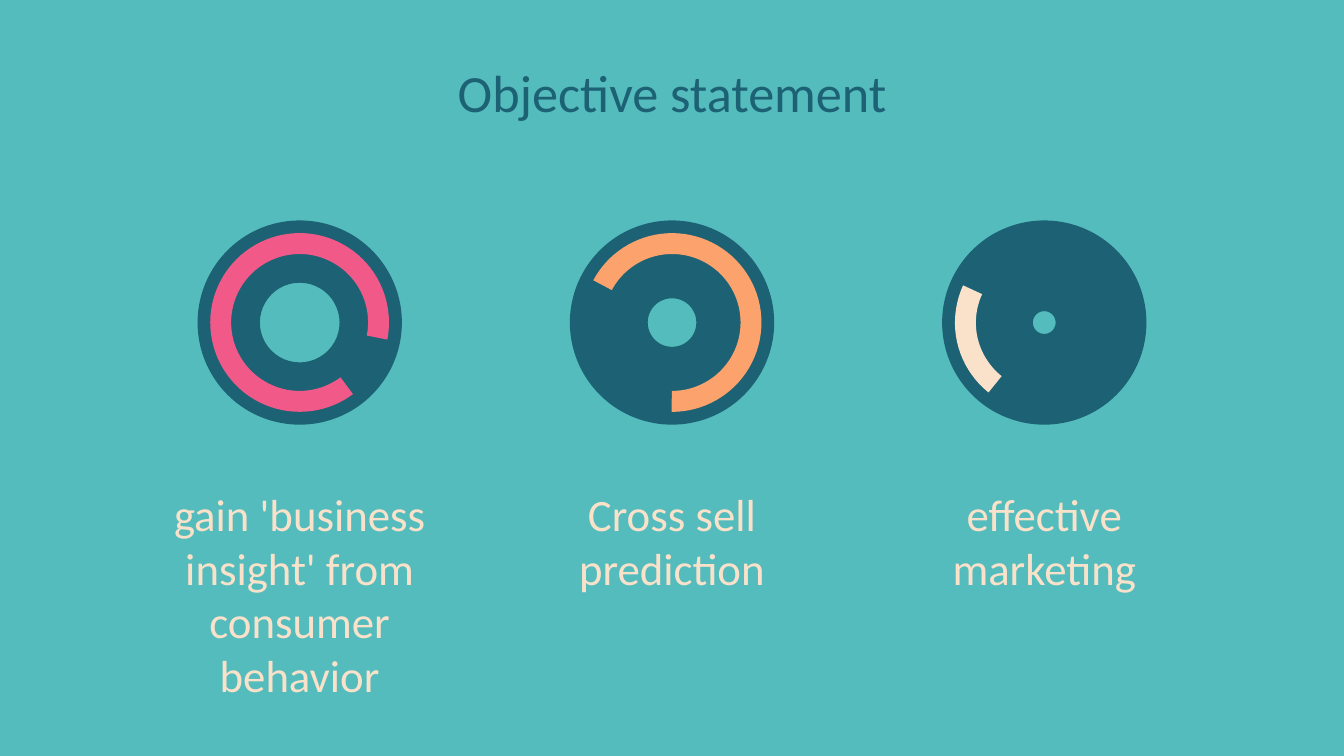
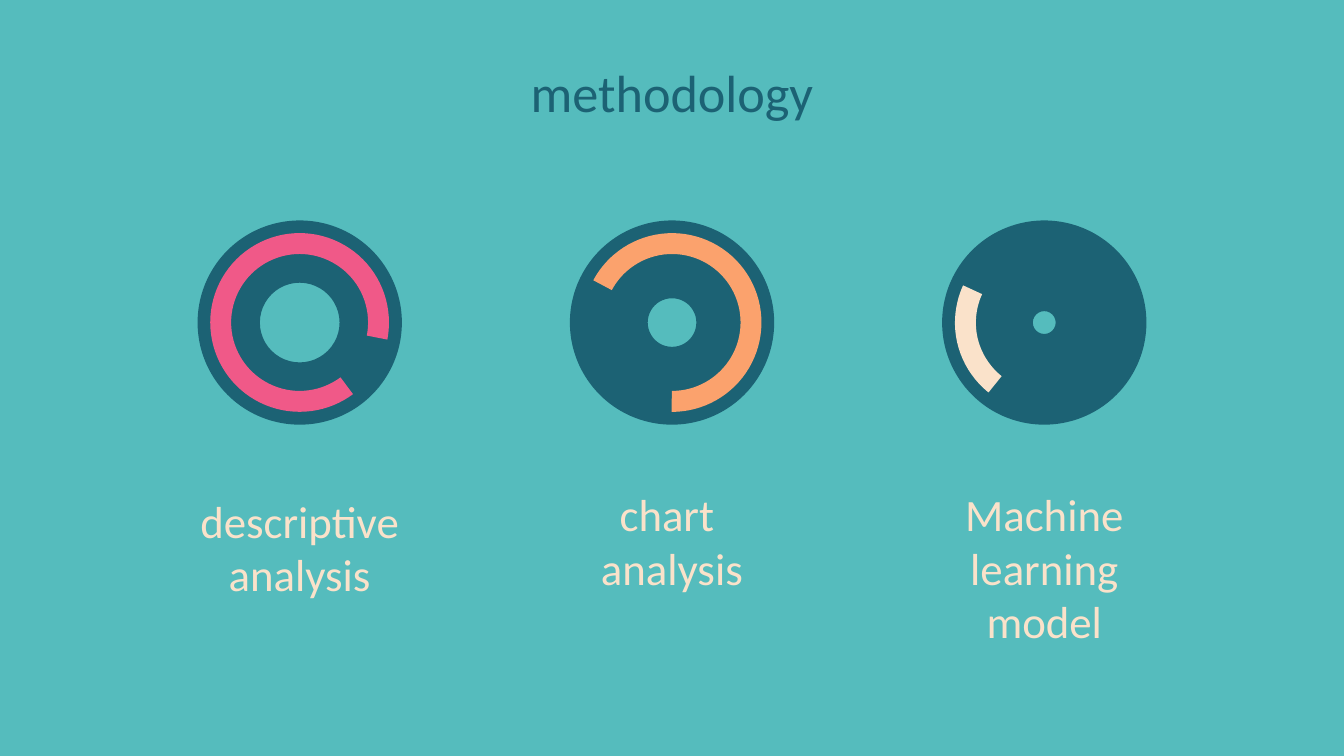
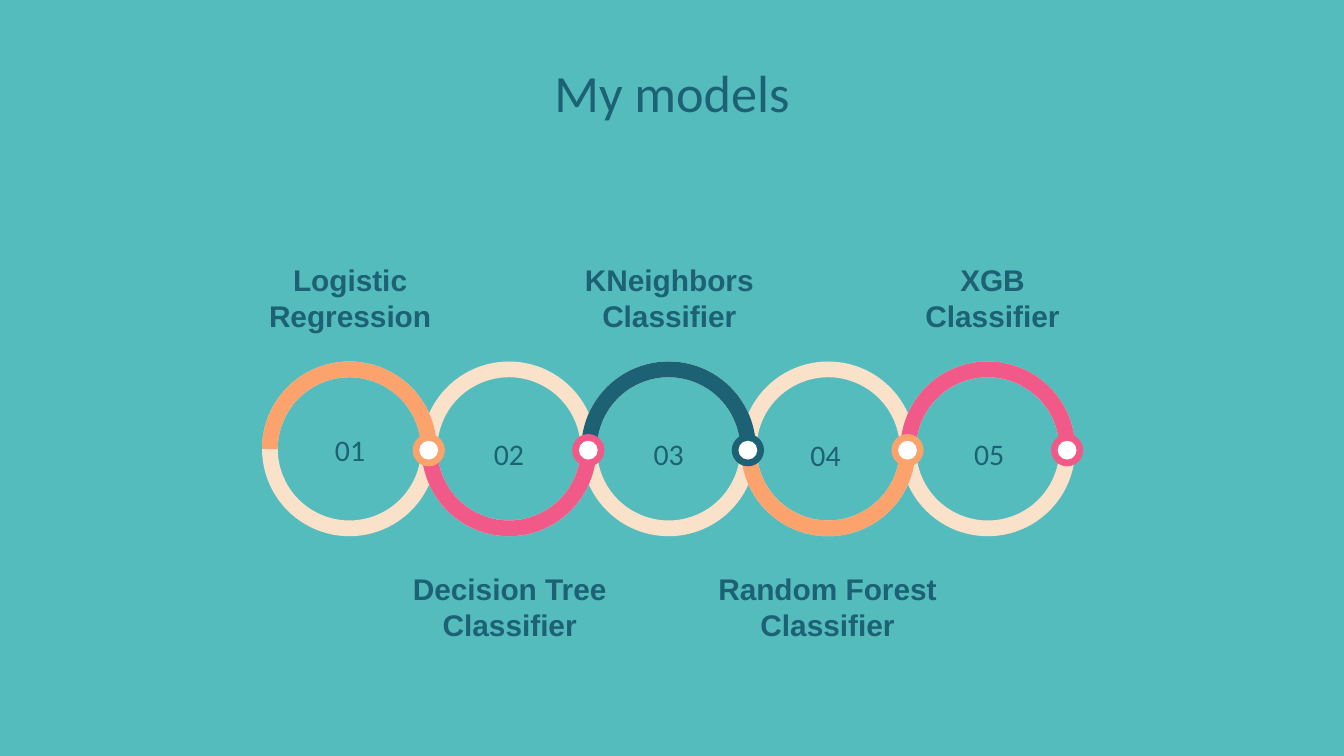
import pptx
import pptx.util
import pptx.dml.color
import pptx.enum.shapes
import pptx.enum.text

Inches = pptx.util.Inches
RGB = pptx.dml.color.RGBColor
SHAPE = pptx.enum.shapes.MSO_SHAPE

AQUA = RGB(0x55, 0xBC, 0xBD)
TEAL = RGB(0x1C, 0x62, 0x74)
PINK = RGB(0xF0, 0x59, 0x88)
PEACH = RGB(0xFB, 0xA2, 0x6D)
CREAM = RGB(0xFA, 0xE2, 0xCA)
WHITE = RGB(0xFF, 0xFF, 0xFF)

DISC, ARC = 1.52, 1.33
DIALS = [
    (0.305, 53.33, 0, PINK),
    (0.381, 129, 79.2, PEACH),
    (0.444, 295.03, 193.6, CREAM),
]
GOALS = [
    ("gain 'business insight' from consumer behavior", 3.52),
    ("Cross sell prediction", 3.52),
    ("effective marketing", 3.52),
]
STEPS = [
    ("descriptive analysis", 3.57),
    ("chart \nanalysis", 3.52),
    ("Machine learning\nmodel", 3.52),
]
MODELS = [
    ("Logistic Regression", PEACH, (0.09, 3.11, 1.13), (-0.24, 1.79)),
    ("Decision Tree Classifier", PINK, (0.12, 3.14, 1.06), (-0.24, 1.79)),
    ("KNeighbors Classifier", TEAL, (0.09, 3.14, 1.12), (-0.24, 1.79)),
    ("Random Forest Classifier", PEACH, (-0.03, 3.15, 1.32), (-0.29, 1.87)),
    ("XGB Classifier", PINK, (0.13, 3.14, 1.06), (-0.12, 1.61)),
]


def add_text(slide, text, box, size, color, face="Calibri", bold=False, after=None):
    """Add a centred text box, one paragraph per line of text."""
    frame = slide.shapes.add_textbox(*map(Inches, box)).text_frame
    frame.word_wrap = True
    frame.margin_left = frame.margin_right = Inches(0.1)
    frame.margin_top = frame.margin_bottom = Inches(0.1)
    frame.text = text
    for para in frame.paragraphs:
        para.alignment = pptx.enum.text.PP_ALIGN.CENTER
        para.space_after = after
        para.font.size = pptx.util.Pt(size)
        para.font.name = face
        para.font.bold = bold
        para.font.color.rgb = color


def add_round(group, kind, left, top, size, color, adjust=(), turn=0):
    """Add a flat round shape with its adjustments."""
    shape = group.shapes.add_shape(kind, *map(Inches, (left, top, size, size)))
    shape.shadow.inherit = False
    shape.fill.solid()
    shape.fill.fore_color.rgb = color
    shape.line.fill.background()
    shape.rotation = turn
    for i, value in enumerate(adjust):
        shape.adjustments[i] = value


def add_arc(group, left, top, size, color, start, end, thick, turn=0):
    """Add a ring segment running clockwise between two angles."""
    adjust = (start * 0.6, end * 0.6, thick)
    add_round(group, SHAPE.BLOCK_ARC, left, top, size, color, adjust, turn)


def add_page(deck, title):
    """Add a slide with the shared background and title."""
    slide = deck.slides.add_slide(deck.slide_layouts[6])
    slide.background.fill.solid()
    slide.background.fill.fore_color.rgb = AQUA
    add_text(slide, title, (2.13, 0.35, 5.74, 0.63), 28, TEAL)
    return slide


def add_dial(slide, left, top, hole, start, turn, color):
    """Add a disc with a hole and a coloured arc on it."""
    group = slide.shapes.add_group_shape()
    inset = (DISC - ARC) / 2
    add_round(group, SHAPE.DONUT, left, top, DISC, TEAL, [hole])
    add_arc(group, left + inset, top + inset, ARC, color, start, 11.05, 0.117, turn)


def dial_page(deck, title, items):
    """Add a slide of three dials with a label under each."""
    slide = add_page(deck, title)
    for i, (dial, (text, top)) in enumerate(zip(DIALS, items)):
        left = 0.98 + 2.77 * i
        add_text(slide, text, (left, top, 2.5, 0.42), 24, CREAM)
        add_dial(slide, left + 0.49, 1.64, *dial)


def add_chain(slide, lefts, top):
    """Add the linked rings, their coloured halves and the joints."""
    group = slide.shapes.add_group_shape()
    colors = [model[1] for model in MODELS]
    for left in lefts:
        add_round(group, SHAPE.DONUT, left, top, 1.3, CREAM, [0.09])
    for i, (left, color) in enumerate(zip(lefts, colors)):
        start, end = (0, 180) if i % 2 else (180, 0)
        add_arc(group, left, top, 1.3, color, start, end, 0.09)
    for left, color in zip(lefts, colors):
        add_round(group, SHAPE.OVAL, left + 1.12, top + 0.54, 0.24, color)
    for left in lefts:
        add_round(group, SHAPE.OVAL, left + 1.17, top + 0.59, 0.14, WHITE)


def chain_page(deck, title):
    """Add the slide of numbered models along a chain."""
    slide = add_page(deck, title)
    lefts = [1.95 + 4.75 / 4 * i for i in range(len(MODELS))]
    add_chain(slide, lefts, 2.69)
    for i, (left, model) in enumerate(zip(lefts, MODELS)):
        name, _, (shift, top, width), (inset, span) = model
        add_text(slide, f"{i + 1:02}", (left + shift, top, width, 0.42), 16, TEAL)
        box = (left + inset, 4.15 if i % 2 else 1.85, span, 0.8)
        add_text(slide, name, box, 16, TEAL, "Arial", True, pptx.util.Pt(16))


def main():
    """Build the deck and save it."""
    deck = pptx.Presentation()
    deck.slide_width, deck.slide_height = Inches(10), Inches(10 * 9 / 16)
    dial_page(deck, "Objective statement", GOALS)
    dial_page(deck, "methodology", STEPS)
    chain_page(deck, "My models")
    deck.save("out.pptx")


if __name__ == "__main__":
    main()
